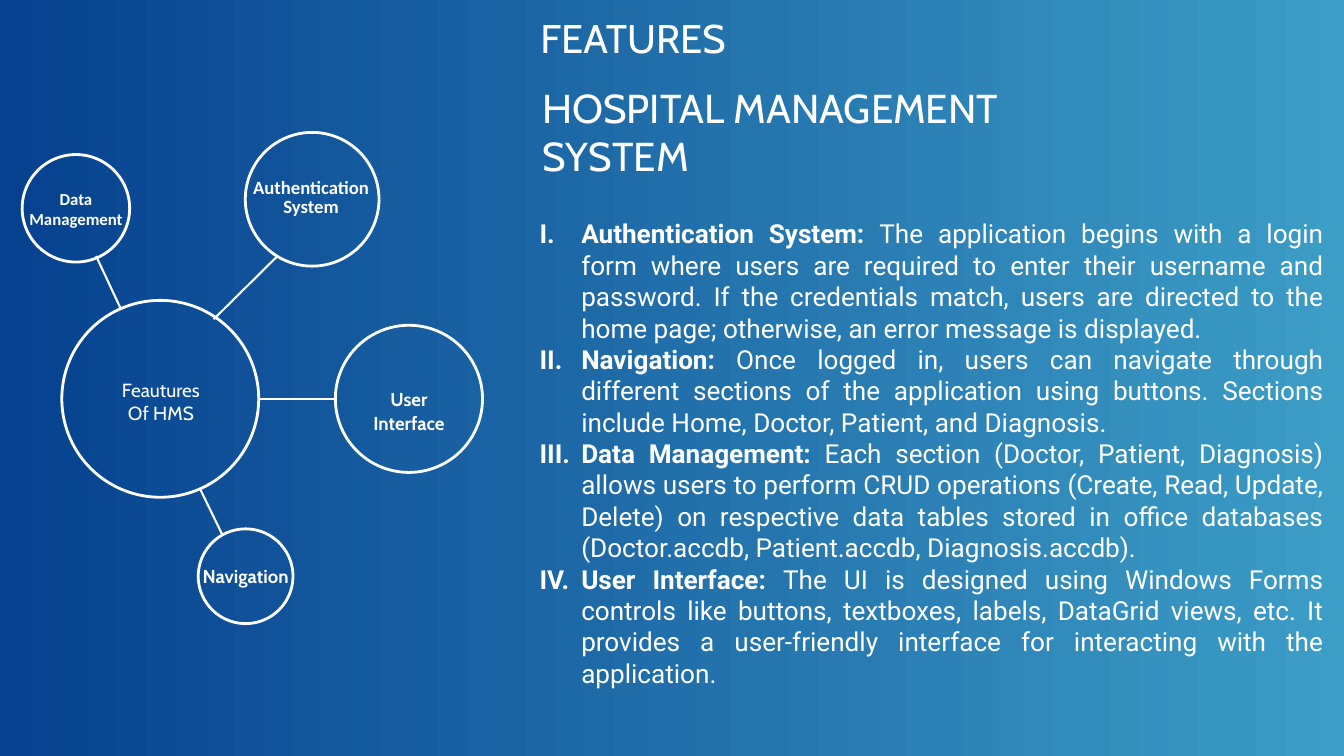
from pptx import Presentation
from pptx.dml.color import RGBColor
from pptx.enum.shapes import MSO_CONNECTOR, MSO_SHAPE
from pptx.enum.text import MSO_ANCHOR, MSO_AUTO_SIZE, PP_ALIGN
from pptx.oxml.ns import qn
from pptx.util import Pt
from lxml import etree

LEFT, CENTER, JUSTIFY = PP_ALIGN.LEFT, PP_ALIGN.CENTER, PP_ALIGN.JUSTIFY
TOP, NO_FIT = MSO_ANCHOR.TOP, MSO_AUTO_SIZE.NONE
OVAL, STRAIGHT = MSO_SHAPE.OVAL, MSO_CONNECTOR.STRAIGHT
WHITE = "FFFFFF"
SCALE = 9144  # EMU per px, 100 px to the inch
INDENT = 62

# Circle: left, top, diameter
CIRCLES = [(466, 484, 219), (59, 447, 293), (0, 230, 160), (332, 197, 199), (262, 787, 141)]
# Label: lines, box, font, size, bold, line spacing in points
LABELS = [
    ("Feautures\nOf HMS", (105, 564, 203, 68), "Cabin", 20.4, False, 24.2),
    ("Data Management", (9, 281, 142, 61), "Calibri", 18, True, None),
    ("Navigation", (262, 837, 141, 73), "Cabin", 20, True, 26.2),
    ("Authentication System", (343, 268, 174, 58), "Calibri", 20, True, 19.9),
    ("User\nInterface", (466, 574, 219, 70), "Cabin", 20, True, 26.2),
]
# Link: from x, y, to x, y
LINKS = [(147, 460, 110, 381), (298, 796, 264, 726), (380, 381, 285, 475), (466, 594, 353, 594)]

FEATURES = [
    ("Authentication System: ", "The application begins with a login form where users are required to "
     "enter their username and password. If the credentials match, users are directed to the home page; "
     "otherwise, an error message is displayed."),
    ("Navigation: ", "Once logged in, users can navigate through different sections of the application "
     "using buttons. Sections include Home, Doctor, Patient, and Diagnosis."),
    ("Data Management: ", "Each section (Doctor, Patient, Diagnosis) allows users to perform CRUD "
     "operations (Create, Read, Update, Delete) on respective data tables stored in office databases "
     "(Doctor.accdb, Patient.accdb, Diagnosis.accdb)."),
    ("User Interface: ", "The UI is designed using Windows Forms controls like buttons, textboxes, "
     "labels, DataGrid views, etc. It provides a user-friendly interface for interacting with the "
     "application."),
]


def px(n):
    return int(n * SCALE)


def color(value):
    return RGBColor.from_string(value)


def style_run(r, font, size, bold=False):
    r.font.name, r.font.size, r.font.bold = font, Pt(size), bold
    r.font.color.rgb = color(WHITE)


def prepare_frame(sp):
    tf = sp.text_frame
    tf.word_wrap, tf.auto_size, tf.vertical_anchor = True, NO_FIT, TOP
    tf.margin_left = tf.margin_top = tf.margin_right = tf.margin_bottom = 0
    return tf


def write_text(sp, text, font, size, bold, spacing, align):
    tf = prepare_frame(sp)
    tf.text = text
    for p in tf.paragraphs:
        p.alignment = align
        if spacing:
            p.line_spacing = Pt(spacing)
        for r in p.runs:
            style_run(r, font, size, bold)


def add_box(s, x, y, w, h):
    return s.shapes.add_textbox(px(x), px(y), px(w), px(h))


def add_background(s):
    fill = s.background.fill
    fill.gradient()
    fill.gradient_angle = 0
    for stop, position, value in zip(fill.gradient_stops, (0, 1), ("06418F", "3C9DC6")):
        stop.position = position
        stop.color.rgb = color(value)


def add_headings(s, x, y):
    title = s.shapes.title
    title.left, title.top, title.width, title.height = px(x), px(y), px(645), px(71)
    write_text(title, "FEATURES", "Cabin", 42.8, False, 50.9, LEFT)
    subtitle = add_box(s, x + 3, y + 104, 772, 143)
    write_text(subtitle, "HOSPITAL MANAGEMENT SYSTEM", "Cabin", 43.2, False, 51.4, LEFT)


def add_diagram(s, x, y):
    # Circles
    for cx, cy, d in CIRCLES:
        sp = s.shapes.add_shape(OVAL, px(x + cx), px(y + cy), px(d), px(d))
        sp.shadow.inherit = False
        sp.fill.background()
        sp.line.color.rgb = color(WHITE)
        sp.line.width = Pt(3)
    # Labels
    for text, (bx, by, w, h), font, size, bold, spacing in LABELS:
        write_text(add_box(s, x + bx, y + by, w, h), text, font, size, bold, spacing, CENTER)
    # Links from the outer circles to the hub
    for x1, y1, x2, y2 in LINKS:
        link = s.shapes.add_connector(STRAIGHT, px(x + x1), px(y + y1), px(x + x2), px(y + y2))
        link.line.color.rgb = color(WHITE)
        link.line.width = Pt(2.25)
        etree.SubElement(link.element.spPr, qn("a:effectLst"))


def add_feature_list(s, x, y, w, h):
    tf = prepare_frame(add_box(s, x, y, w, h))
    for i, (name, description) in enumerate(FEATURES):
        p = tf.add_paragraph() if i else tf.paragraphs[0]
        p.alignment = JUSTIFY
        # Hanging Roman numerals
        pPr = p._p.get_or_add_pPr()
        pPr.set("marL", str(px(INDENT)))
        pPr.set("indent", str(-px(INDENT)))
        etree.SubElement(pPr, qn("a:buFont"), typeface="+mj-lt")
        etree.SubElement(pPr, qn("a:buAutoNum"), type="romanUcPeriod")
        for text, bold in ((name, True), (description, False)):
            r = p.add_run()
            r.text = text
            style_run(r, "Roboto", 28, bold)


def main():
    prs = Presentation()
    prs.slide_width, prs.slide_height = px(2000), px(1125)
    s = prs.slides.add_slide(prs.slide_layouts[5])
    add_background(s)
    add_diagram(s, 33, 0)
    add_headings(s, 804, 21)
    add_feature_list(s, 803, 324, 1166, 799)
    prs.save("out.pptx")


if __name__ == "__main__":
    main()
